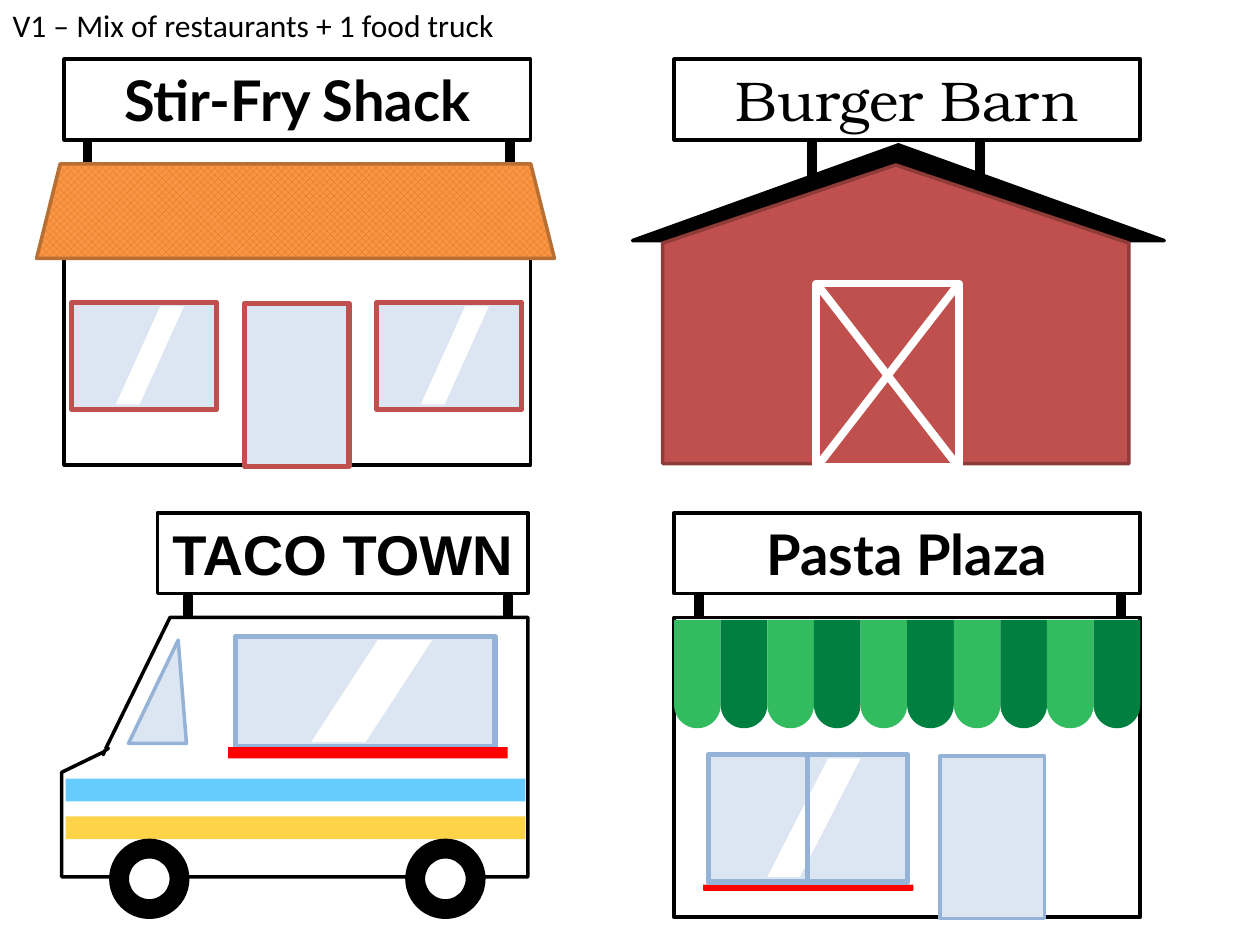
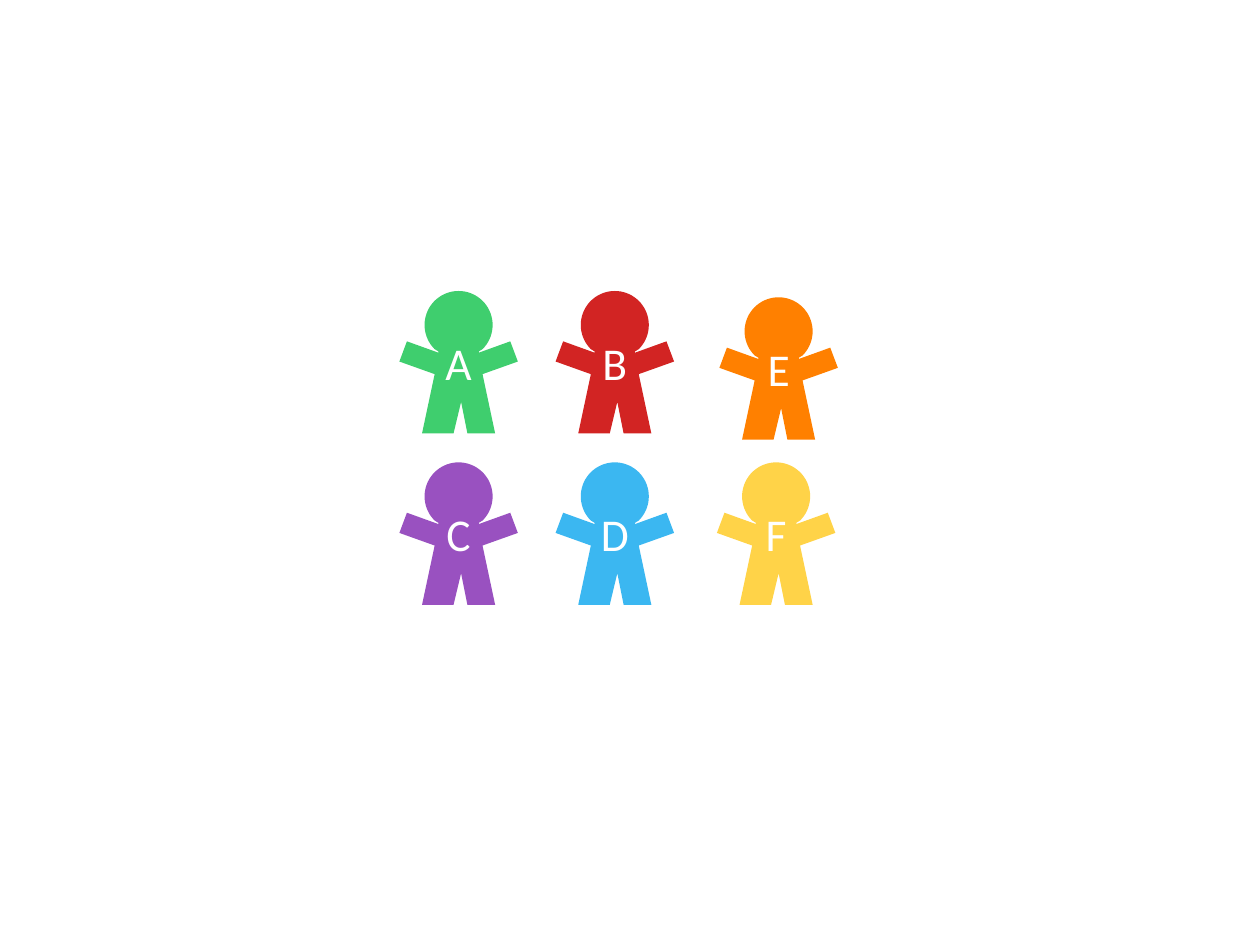
from dataclasses import dataclass
from math import cos, radians, sin
from typing import Any, NamedTuple, Optional

from pptx import Presentation
from pptx.dml.color import RGBColor
from pptx.enum.dml import MSO_PATTERN
from pptx.enum.shapes import MSO_CONNECTOR, MSO_SHAPE as Preset
from pptx.enum.text import MSO_ANCHOR, MSO_AUTO_SIZE, PP_ALIGN
from pptx.oxml.ns import qn
from pptx.util import Inches, Pt

SLIDE_WIDTH, SLIDE_HEIGHT = Inches(10), Inches(7.5)
COLUMN, ROW = SLIDE_WIDTH / 10, SLIDE_HEIGHT / 7.5

BLACK = RGBColor(0x00, 0x00, 0x00)
WHITE = RGBColor(0xFF, 0xFF, 0xFF)
BARN_RED = RGBColor(0xC0, 0x50, 0x4D)
BARN_EDGE = RGBColor(0x8E, 0x3B, 0x39)
GLASS = RGBColor(0xDC, 0xE6, 0xF2)
FRAME_BLUE = RGBColor(0x95, 0xB3, 0xD7)
LEDGE_RED = RGBColor(0xFF, 0x00, 0x00)
ROOF_DARK = RGBColor(0xE4, 0x6C, 0x0A)
ROOF_ORANGE = RGBColor(0xF7, 0x96, 0x46)
ROOF_EDGE = RGBColor(0xB7, 0x6F, 0x34)
AWNING_GREENS = (RGBColor(0x32, 0xBC, 0x5F), RGBColor(0x00, 0x80, 0x40))
STRIPE_BLUE = RGBColor(0x66, 0xCC, 0xFF)
YELLOW = RGBColor(0xFF, 0xD3, 0x48)
GREEN = RGBColor(0x3F, 0xCE, 0x6E)
RED = RGBColor(0xD2, 0x24, 0x23)
PURPLE = RGBColor(0x99, 0x51, 0xC0)
BLUE = RGBColor(0x3B, 0xB7, 0xF1)
ORANGE = RGBColor(0xFF, 0x80, 0x00)

FRONT_WIDTH, FRONT_HEIGHT = 3.7, 2.38
SIGN_HEIGHT = 0.64
POST_WIDTH = 0.05
GLARE_SLANT = 0.652


class Box(NamedTuple):
    """Left and width in columns, top and height in rows."""
    left: float
    top: float
    width: float
    height: float

    def emu(self) -> tuple[int, ...]:
        units = (COLUMN, ROW, COLUMN, ROW)
        return tuple(round(length * unit) for length, unit in zip(self, units))


class Point(NamedTuple):
    col: float
    row: float

    def emu(self) -> tuple[int, int]:
        return round(self.col * COLUMN), round(self.row * ROW)


@dataclass(frozen=True)
class Sign:
    name: str
    font: str
    left: float
    top: float
    posts: tuple[float, float]
    width: float = FRONT_WIDTH
    post_height: float = 0.2
    bold: bool = True


@dataclass(frozen=True)
class Window:
    pane: Box
    glare: Box
    frame: RGBColor = FRAME_BLUE


@dataclass(frozen=True)
class Person:
    letter: str
    color: RGBColor
    left: float
    top: float


BARN_SIGN = Sign("Burger Barn", "TeX Gyre Bonum", 5.35, 0.47, (6.42, 7.75),
                 post_height=0.3, bold=False)
PASTA_SIGN = Sign("Pasta Plaza", "Lato", 5.35, 4.07, (5.52, 8.87))
SHACK_SIGN = Sign("Stir-Fry Shack", "Lato", 0.51, 0.47, (0.67, 4.02))
TACO_SIGN = Sign("TACO TOWN", "Arial", 1.25, 4.07, (1.47, 4.01), width=2.94)

PASTA_WINDOW = Window(Box(5.62, 5.99, 1.58, 1.01), Box(6.09, 6.02, 0.74, 0.94))
TACO_WINDOW = Window(Box(1.87, 5.05, 2.06, 0.88), Box(2.47, 5.08, 0.96, 0.81))
SHACK_WINDOWS = [
    Window(Box(left, 2.4, 1.15, 0.85), Box(left + 0.35, 2.43, 0.54, 0.78), BARN_RED)
    for left in (0.57, 2.99)
]

PEOPLE = (
    Person("A", GREEN, 3.17, 2.31),
    Person("B", RED, 4.41, 2.31),
    Person("C", PURPLE, 3.17, 3.67),
    Person("D", BLUE, 4.41, 3.67),
    Person("E", ORANGE, 5.71, 2.36),
    Person("F", YELLOW, 5.69, 3.67),
)
HEAD_CENTER, HEAD_RADIUS = Point(0.47, 0.27), 0.27
PERSON_BODY = (
    (0.31, 0.48), (0.31, 0.49), (0.06, 0.4), (0, 0.56), (0.28, 0.66),
    (0.18, 1.13), (0.43, 1.13), (0.49, 0.88), (0.54, 1.13), (0.76, 1.13),
    (0.66, 0.66), (0.94, 0.56), (0.88, 0.4), (0.63, 0.49), (0.63, 0.48),
)


def apply(target: Any, formats: dict[str, Any]) -> None:
    for attribute, value in formats.items():
        setattr(target, attribute, value)


def paint(shape: Any, fill: RGBColor, line: Optional[RGBColor], weight: float) -> None:
    shape.shadow.inherit = False
    shape.fill.solid()
    shape.fill.fore_color.rgb = fill
    if line is None:
        shape.line.fill.background()
    else:
        shape.line.color.rgb = line
        shape.line.width = Pt(weight)


def draw(shapes: Any, preset: Preset, box: Box, fill: RGBColor,
         line: Optional[RGBColor] = None, weight: float = 2,
         adjust: tuple[float, ...] = ()) -> Any:
    shape = shapes.add_shape(preset, *box.emu())
    paint(shape, fill, line, weight)
    for index, value in enumerate(adjust):
        shape.adjustments[index] = value
    return shape


def draw_outline(shapes: Any, points: list[Point], fill: RGBColor,
                 line: Optional[RGBColor] = None) -> Any:
    start, *rest = [point.emu() for point in points]
    builder = shapes.build_freeform(*start)
    builder.add_line_segments(rest, close=True)
    shape = builder.convert_to_shape()
    paint(shape, fill, line, 2)
    return shape


def draw_bar(shapes: Any, start: Point, end: Point, color: RGBColor, weight: float) -> Any:
    bar = shapes.add_connector(MSO_CONNECTOR.STRAIGHT, *start.emu(), *end.emu())
    bar.line.color.rgb = color
    bar.line.width = Pt(weight)
    bar._element.spPr.append(bar._element.makeelement(qn("a:effectLst"), {}))
    return bar


def write(shape: Any, words: str, font: str, size: float, color: RGBColor,
          bold: bool = False, align: PP_ALIGN = PP_ALIGN.CENTER,
          anchor: MSO_ANCHOR = MSO_ANCHOR.MIDDLE, wrap: bool = True) -> None:
    frame = shape.text_frame
    apply(frame, {"text": words, "vertical_anchor": anchor, "word_wrap": wrap})
    paragraph = frame.paragraphs[0]
    paragraph.alignment = align
    letters = paragraph.runs[0].font
    apply(letters, {"name": font, "size": Pt(size), "bold": bold})
    letters.color.rgb = color


def draw_sign(shapes: Any, sign: Sign) -> None:
    """Draw the two posts and the board that they carry."""
    for left in sign.posts:
        post = Box(left, sign.top + SIGN_HEIGHT, POST_WIDTH, sign.post_height)
        draw(shapes, Preset.RECTANGLE, post, BLACK, BLACK)
    board = draw(shapes, Preset.RECTANGLE,
                 Box(sign.left, sign.top, sign.width, SIGN_HEIGHT), WHITE, BLACK)
    write(board, sign.name, sign.font, 32, BLACK, sign.bold)


def draw_window(shapes: Any, window: Window) -> Any:
    pane = draw(shapes, Preset.RECTANGLE, window.pane, GLASS, window.frame, 3)
    draw(shapes, Preset.PARALLELOGRAM, window.glare, WHITE, adjust=(GLARE_SLANT,))
    return pane


def draw_burger_barn(shapes: Any) -> None:
    draw(shapes, Preset.ISOSCELES_TRIANGLE, Box(5.02, 1.15, 4.22, 0.76), BLACK, BLACK)
    left, right, eaves, ground = 5.26, 8.96, 1.93, 3.68
    draw_outline(shapes, [Point(7.11, 1.31), Point(right, eaves), Point(right, ground),
                          Point(left, ground), Point(left, eaves)], BARN_RED, BARN_EDGE)
    draw_sign(shapes, BARN_SIGN)
    door = Box(6.48, 2.25, 1.13, 1.46)
    draw(shapes, Preset.RECTANGLE, door, BARN_RED, WHITE, 4.5)
    door_right, door_bottom = door.left + door.width, door.top + door.height
    for start, end in ((door.left, door_right), (door_right, door.left)):
        draw_bar(shapes, Point(start, door.top), Point(end, door_bottom), WHITE, 4.5)


def draw_pasta_plaza(shapes: Any) -> None:
    draw_sign(shapes, PASTA_SIGN)
    front = Box(5.35, 4.9, FRONT_WIDTH, FRONT_HEIGHT)
    draw(shapes, Preset.RECTANGLE, front, WHITE, BLACK)
    draw(shapes, Preset.RECTANGLE, Box(7.46, 6, 0.83, 1.29), GLASS, FRAME_BLUE)
    flaps = 10
    flap_width = front.width / flaps
    for index in range(flaps):
        flap = Box(front.left + index * flap_width, 4.92, flap_width, 0.86)
        draw(shapes, Preset.ROUND_2_SAME_RECTANGLE, flap,
             AWNING_GREENS[index % 2], adjust=(0, 0.5))
    draw(shapes, Preset.ROUNDED_RECTANGLE, Box(5.58, 7.02, 1.67, 0.05), LEDGE_RED)
    pane = draw_window(shapes, PASTA_WINDOW)
    mullion = draw_bar(shapes, Point(6.41, 5.99), Point(6.41, 7), FRAME_BLUE, 3)
    mullion.begin_connect(pane, 0)
    mullion.end_connect(pane, 2)


def draw_stir_fry_shack(shapes: Any) -> None:
    draw_sign(shapes, SHACK_SIGN)
    draw(shapes, Preset.RECTANGLE, Box(0.51, 1.31, FRONT_WIDTH, FRONT_HEIGHT), WHITE, BLACK)
    draw(shapes, Preset.RECTANGLE, Box(1.94, 2.41, 0.83, 1.29), GLASS, BARN_RED, 3)
    roof = draw(shapes, Preset.TRAPEZOID, Box(0.29, 1.3, 4.11, 0.75), ROOF_ORANGE, ROOF_EDGE)
    roof.fill.patterned()
    roof.fill.pattern = MSO_PATTERN.OUTLINED_DIAMOND
    roof.fill.fore_color.rgb = ROOF_DARK
    roof.fill.back_color.rgb = ROOF_ORANGE
    for window in SHACK_WINDOWS:
        draw_window(shapes, window)


def draw_taco_truck(shapes: Any) -> None:
    draw_sign(shapes, TACO_SIGN)
    body = ((1.35, 4.9), (4.19, 4.9), (4.19, 6.96), (0.49, 6.96), (0.49, 6.13),
            (0.82, 5.97), (0.82, 5.99), (0.83, 5.96), (0.86, 5.94), (0.84, 5.94))
    draw_outline(shapes, [Point(*corner) for corner in body], WHITE, BLACK)
    draw_window(shapes, TACO_WINDOW)
    draw(shapes, Preset.RECTANGLE, Box(1.81, 5.93, 2.22, 0.09), LEDGE_RED)
    draw(shapes, Preset.ISOSCELES_TRIANGLE, Box(1.02, 5.08, 0.46, 0.82),
         GLASS, FRAME_BLUE, adjust=(0.858,))
    for top, color in ((6.18, STRIPE_BLUE), (6.48, YELLOW)):
        draw(shapes, Preset.RECTANGLE, Box(0.52, top, 3.65, 0.18), color)
    tire, rim = 0.61, 0.35
    inset = (tire - rim) / 2
    for left in (0.88, 3.23):
        draw(shapes, Preset.OVAL, Box(left, 6.67, tire, tire), BLACK, BLACK)
        draw(shapes, Preset.OVAL, Box(left + inset, 6.67 + inset, rim, rim), WHITE, BLACK)


def draw_person(shapes: Any, person: Person) -> None:
    """Trace the head from right neck over the top, then the body."""
    head = [(HEAD_CENTER.col + HEAD_RADIUS * cos(radians(angle)),
             HEAD_CENTER.row + HEAD_RADIUS * sin(radians(angle)))
            for angle in range(45, -226, -5)]
    outline = [Point(person.left + col, person.top + row)
               for col, row in (*head, *PERSON_BODY)]
    figure = draw_outline(shapes, outline, person.color)
    write(figure, person.letter, "Calibri", 26, WHITE)


def build_restaurants(deck: Any) -> None:
    slide = deck.slides.add_slide(deck.slide_layouts[5])
    shapes = slide.shapes
    heading = shapes.title
    apply(heading, dict(zip(("left", "top", "width", "height"), Box(0, 0, 4.08, 0.4).emu())))
    write(heading, "V1 – Mix of restaurants + 1 food truck", "Calibri", 18, BLACK,
          align=PP_ALIGN.LEFT, anchor=MSO_ANCHOR.TOP, wrap=False)
    heading.text_frame.auto_size = MSO_AUTO_SIZE.SHAPE_TO_FIT_TEXT
    draw_burger_barn(shapes.add_group_shape().shapes)
    draw_pasta_plaza(shapes)
    draw_stir_fry_shack(shapes.add_group_shape().shapes)
    draw_taco_truck(shapes.add_group_shape().shapes)


def build_people(deck: Any) -> None:
    slide = deck.slides.add_slide(deck.slide_layouts[6])
    for person in PEOPLE:
        draw_person(slide.shapes, person)


def main() -> None:
    deck = Presentation()
    apply(deck, {"slide_width": SLIDE_WIDTH, "slide_height": SLIDE_HEIGHT})
    build_restaurants(deck)
    build_people(deck)
    deck.save("out.pptx")


if __name__ == "__main__":
    main()
